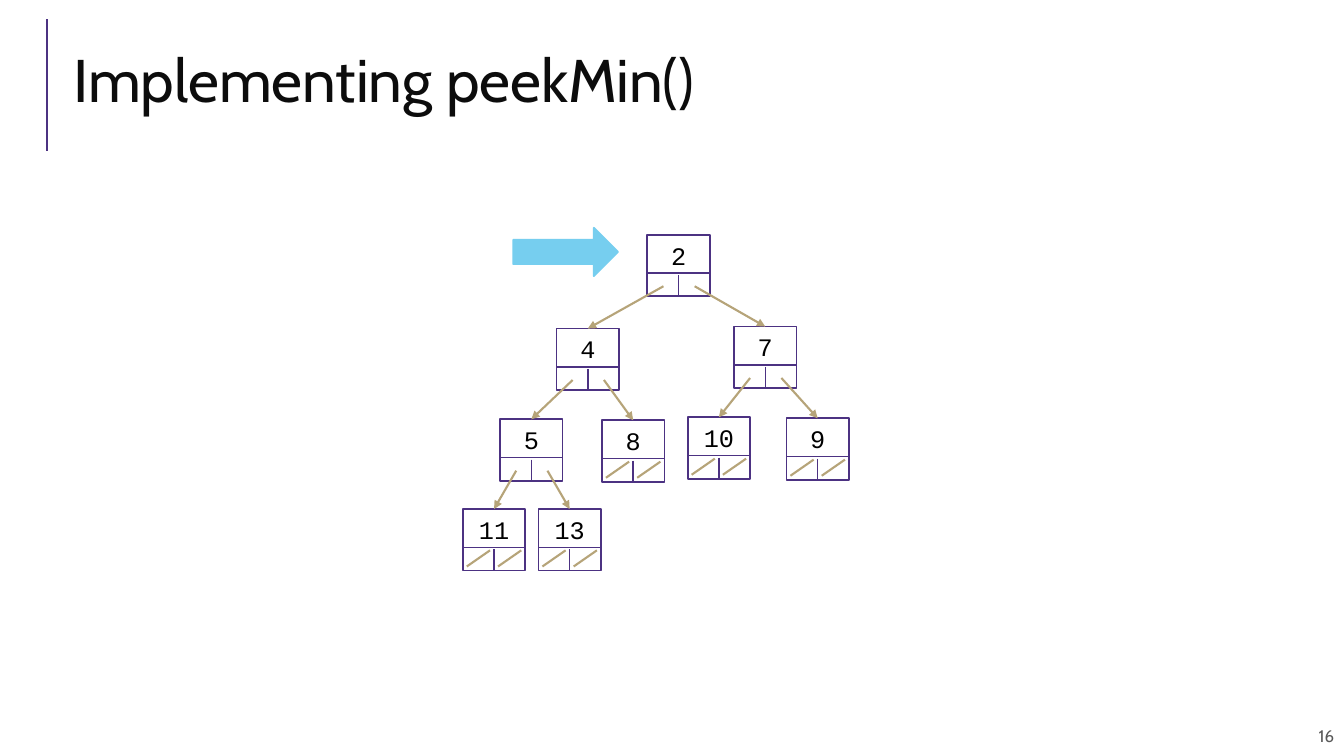
"""Build a slide showing peekMin() on a binary min-heap."""
from pptx import Presentation
from pptx.dml.color import RGBColor
from pptx.enum.shapes import MSO_CONNECTOR, MSO_SHAPE
from pptx.enum.text import MSO_ANCHOR, PP_ALIGN
from pptx.oxml.ns import qn
from pptx.util import Inches, Pt
from lxml import etree

STRAIGHT = MSO_CONNECTOR.STRAIGHT
RECT, ARROW = MSO_SHAPE.RECTANGLE, MSO_SHAPE.RIGHT_ARROW
TOP, MIDDLE = MSO_ANCHOR.TOP, MSO_ANCHOR.MIDDLE
LEFT, CENTER, RIGHT = PP_ALIGN.LEFT, PP_ALIGN.CENTER, PP_ALIGN.RIGHT

COLORS = {"purple": "4C3282", "gold": "B6A479", "sky": "76CEEF",
          "title": "0C0C0C", "number": "595959", "black": "000000"}
TITLE = "Implementing peekMin()"
PAGE = "16"
NODES = {
    "2": (6.42, 2.33), "4": (5.52, 3.26), "7": (7.28, 3.24),
    "5": (4.96, 4.16), "8": (5.97, 4.17), "10": (6.82, 4.14),
    "9": (7.8, 4.15), "11": (4.59, 5.05), "13": (5.34, 5.05),
}
CHILDREN = {"2": ("4", "7"), "4": ("5", "8"), "7": ("10", "9"), "5": ("11", "13")}
POINTER = (5.09, 2.26, 1.04, 0.48)

NODE_W, NODE_H = 0.62, 0.61
SPLIT_Y = 0.38
LINK_XS, LINK_Y = (0.16, 0.47), 0.51
NULL_XS, NULL_W = (0.04, 0.35), 0.23
NULL_TOP, NULL_BOTTOM = 0.41, 0.57

prs = Presentation()
prs.slide_width, prs.slide_height = Inches(13.33), Inches(7.5)
s = prs.slides.add_slide(prs.slide_layouts[6])


def rgb(name):
    return RGBColor.from_string(COLORS[name])


def set_line(sp, color, width):
    sp.line.color.rgb = rgb(color)
    sp.line.width = Pt(width)


def write(sp, text, font, size, color, align, anchor, inset):
    tf = sp.text_frame
    frame = {"word_wrap": True, "vertical_anchor": anchor,
             "margin_left": Inches(inset), "margin_right": Inches(inset),
             "margin_top": Inches(0.05), "margin_bottom": Inches(0.05)}
    for name, value in frame.items():
        setattr(tf, name, value)
    p = tf.paragraphs[0]
    p.alignment = align
    r = p.add_run()
    r.text = text
    for name, value in {"name": font, "size": Pt(size)}.items():
        setattr(r.font, name, value)
    r.font.color.rgb = rgb(color)
    return p


def add_text(box, *style):
    return write(s.shapes.add_textbox(*map(Inches, box)), *style)


def add_shape(kind, box, color):
    sp = s.shapes.add_shape(kind, *map(Inches, box))
    sp.shadow.inherit = False
    set_line(sp, color, 1.25)
    return sp


def add_line(x1, y1, x2, y2, color, width, target=None):
    c = s.shapes.add_connector(STRAIGHT, *map(Inches, (x1, y1, x2, y2)))
    set_line(c, color, width)
    if target is not None:
        c.end_connect(target, 0)
        etree.SubElement(c.line._get_or_add_ln(), qn("a:tailEnd"), type="triangle")
    etree.SubElement(c._element.spPr, qn("a:effectLst"))


def add_node(value, x, y):
    sp = add_shape(RECT, (x, y, NODE_W, NODE_H), "purple")
    sp.fill.background()
    write(sp, value, "Courier New", 18, "black", CENTER, TOP, 0)
    mid = x + NODE_W / 2
    add_line(x, y + SPLIT_Y, x + NODE_W, y + SPLIT_Y, "purple", 1)
    add_line(mid, y + SPLIT_Y + 0.02, mid, y + NODE_H, "purple", 1)
    if value not in CHILDREN:
        for dx in NULL_XS:
            add_line(x + dx + NULL_W, y + NULL_TOP, x + dx, y + NULL_BOTTOM, "gold", 1.5)
    return sp


add_line(0.47, 0.19, 0.47, 1.5, "purple", 1.5)
add_text((8.65, 7.1, 4.68, 0.4), PAGE, "Cabin", 12, "number", RIGHT, MIDDLE, 0.1)
p = add_text((0.63, 0.29, 12.23, 1.11), TITLE, "Cabin", 43, "title", LEFT, MIDDLE, 0.1)
p.line_spacing = 0.8

boxes = {value: add_node(value, x, y) for value, (x, y) in NODES.items()}
for parent, children in CHILDREN.items():
    x, y = NODES[parent]
    for dx, child in zip(LINK_XS, children):
        cx, cy = NODES[child]
        add_line(x + dx, y + LINK_Y, cx + NODE_W / 2, cy, "gold", 1.5, boxes[child])

pointer = add_shape(ARROW, POINTER, "sky")
pointer.fill.solid()
pointer.fill.fore_color.rgb = rgb("sky")

prs.save("out.pptx")
